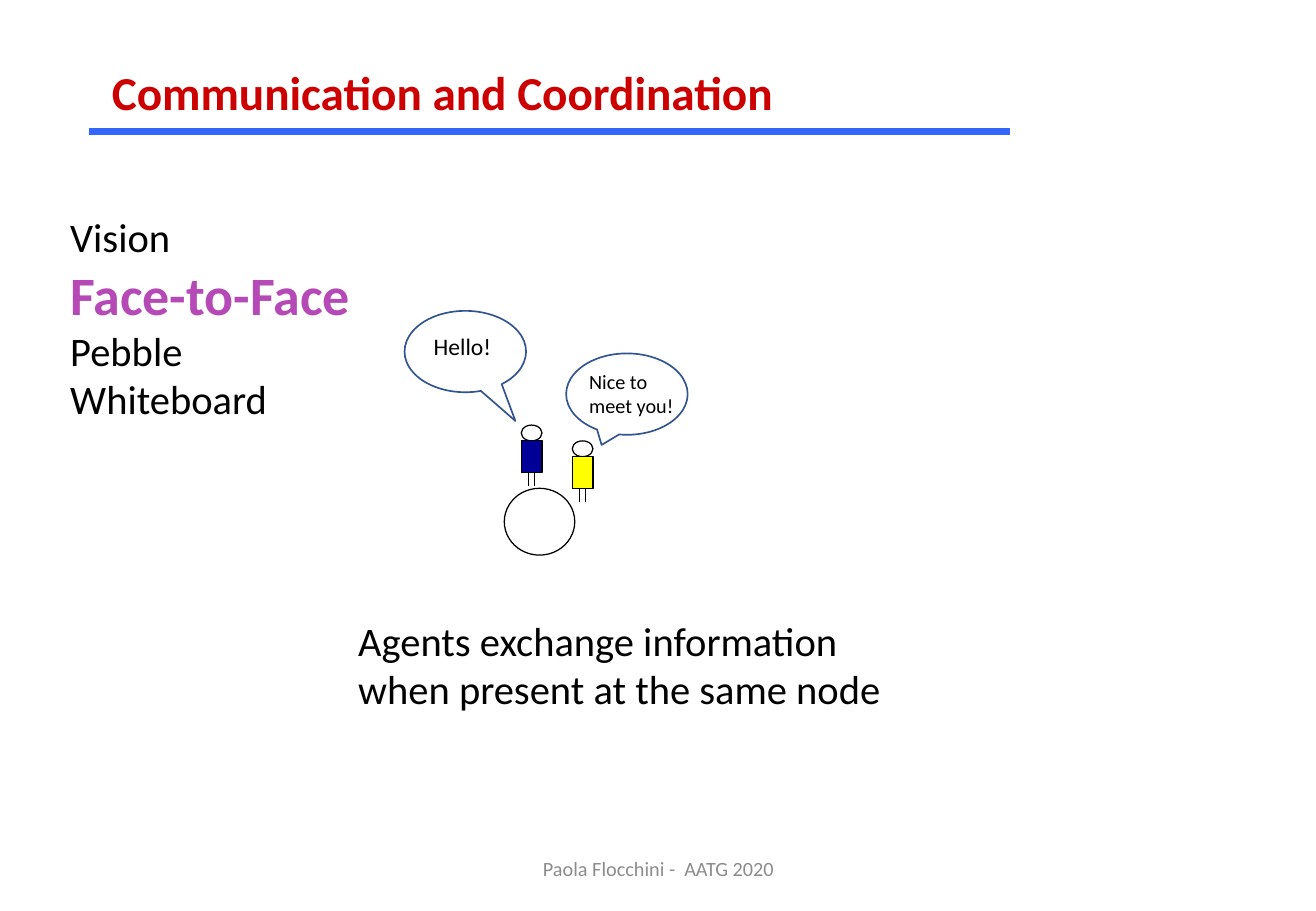
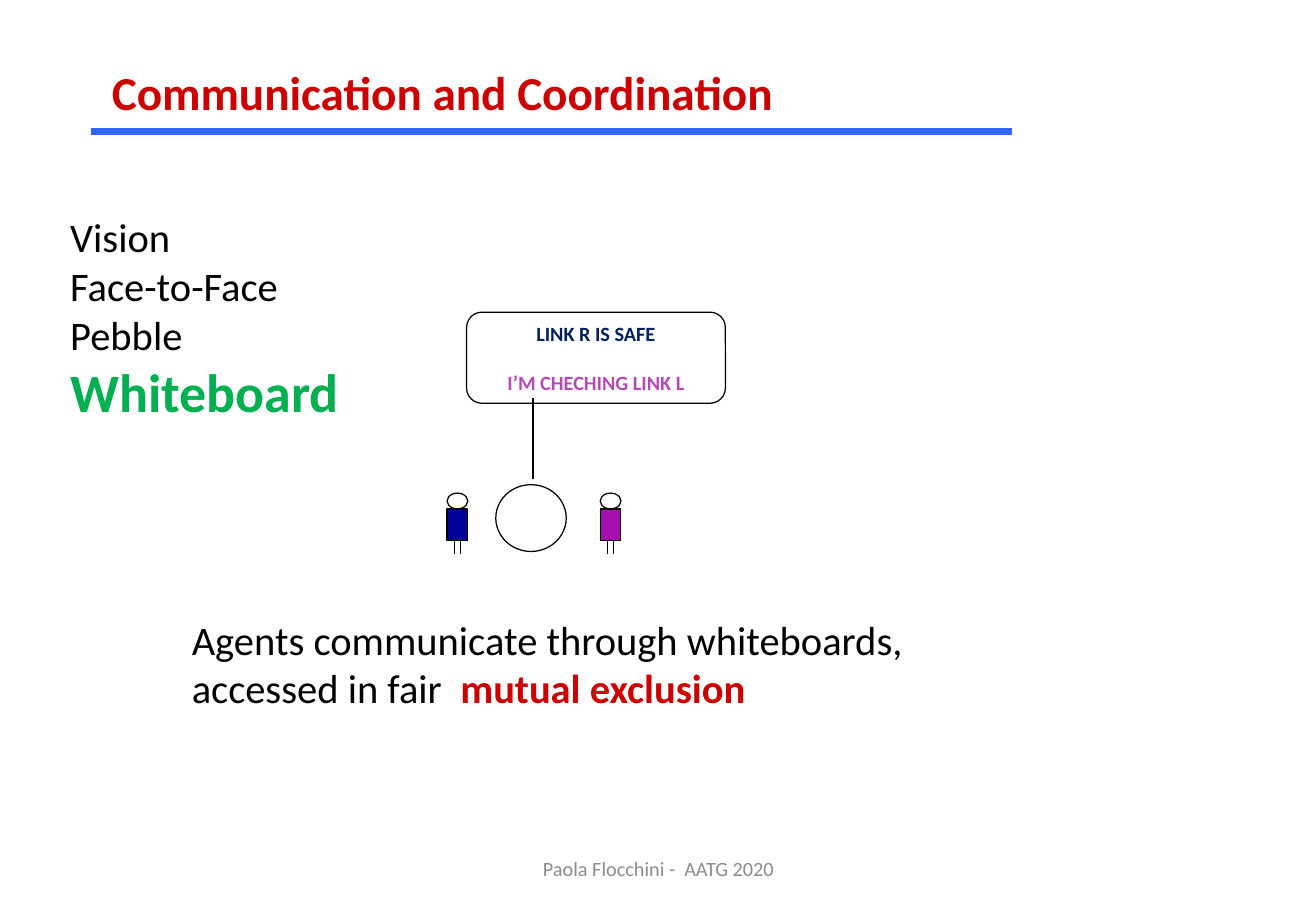
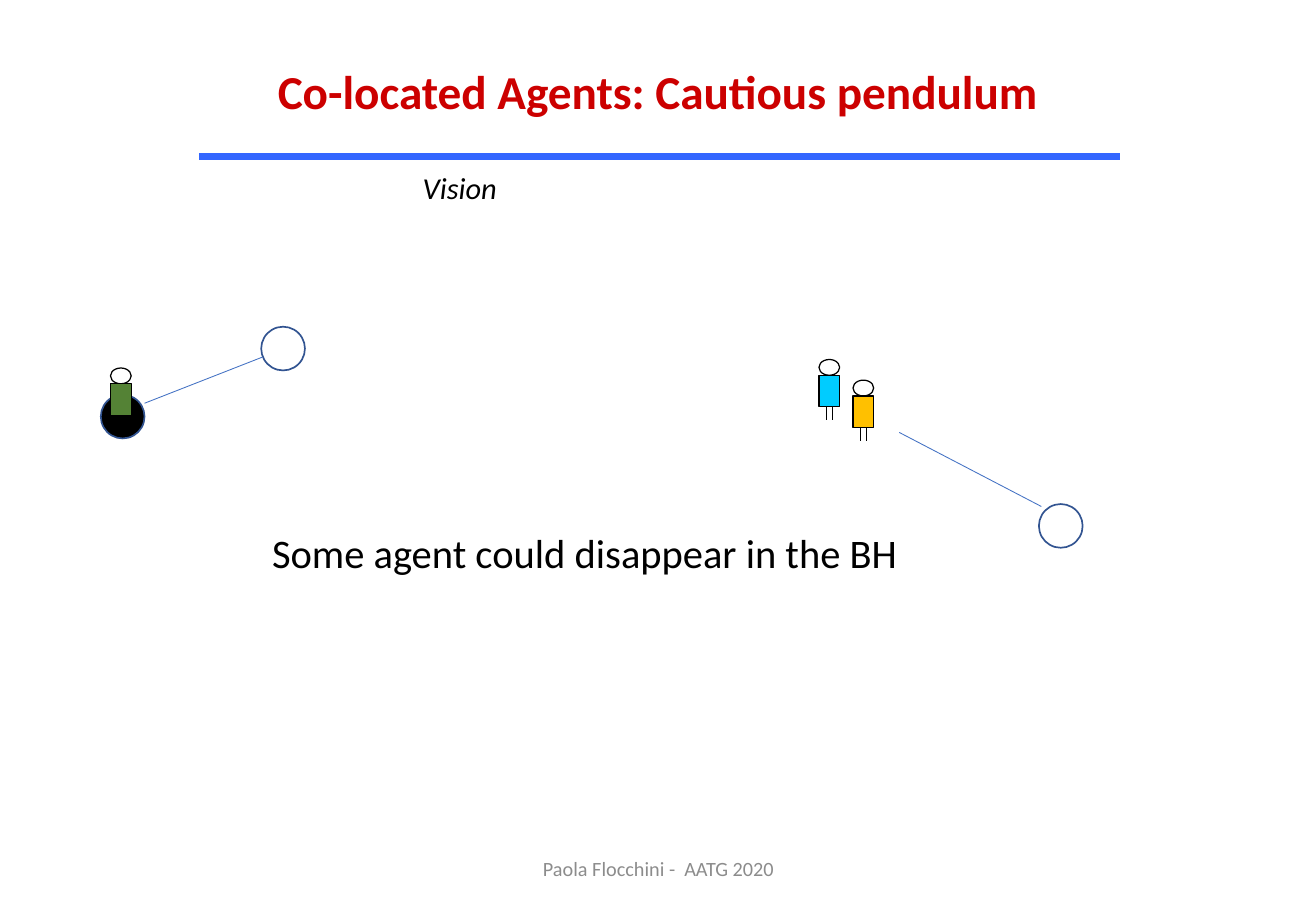
"""Build three slides on how mobile agents communicate and coordinate."""
from lxml.etree import SubElement
from pptx import Presentation
from pptx.dml.color import RGBColor
from pptx.enum.shapes import MSO_CONNECTOR, MSO_SHAPE as Preset
from pptx.enum.text import MSO_ANCHOR as Anchor, MSO_AUTO_SIZE, PP_ALIGN as Align
from pptx.oxml.ns import qn
from pptx.util import Inches, Pt

FONT = "Calibri"
COLORS = {
    "black": "000000", "white": "FFFFFF", "title": "CC0000", "rule": "3366FF",
    "footer": "8C8C8C", "outline": "325491", "link": "4472C4", "navy": "002060",
    "violet": "B549B6", "green": "00B050", "agent_blue": "000099",
    "agent_yellow": "FFFF00", "agent_purple": "A50FAE", "agent_green": "548235",
    "agent_cyan": "00CCFF", "agent_orange": "FFC000",
}
FOOTER = "Paola Flocchini -  AATG 2020"
COMMUNICATION = "Communication and Coordination"
COMMUNICATION_BOX = (0.82, 0.47, 5.79, 0.57)
METHODS = ["Vision", "Face-to-Face", "Pebble", "Whiteboard"]
RULE_LENGTH = 7.58
NODE_SIZE = (0.58, 0.55)
RING_NODE = 0.36

GREETINGS = [
    ((4.66, 2.91), None, (4.75, 2.99, 1, 0.5), ["Nice to", "meet you!"], 12),
    ((3.33, 2.56), (0.412, 0.852), (3.47, 2.68, 0.8, 0.34), ["Hello!"], 14),
]
FACE_AGENTS = [(4.29, 3.5, "agent_blue"), (4.71, 3.63, "agent_yellow")]
FACE_NOTE = ["Agents exchange information", "when present at the same node"]

BOARD_AGENTS = [(3.68, 4.06, "agent_blue"), (4.94, 4.06, "agent_purple")]
BOARD_LINES = [
    [("LINK R IS SAFE", {"color": "navy"})],
    [("I’M CHECHING LINK L", {"color": "violet"})],
]
BOARD_NOTE = [
    "Agents communicate through whiteboards,",
    [("accessed in fair  ", {}), ("mutual exclusion", {"color": "title", "bold": True})],
]

RING_NODES = [(2.15, 2.69, "white"), (0.83, 3.25, "black"), (8.55, 4.15, "white")]
RING_LINKS = [((7.4, 3.56), (8.57, 4.17)), ((1.19, 3.32), (2.16, 2.94))]
RING_AGENTS = [
    (0.91, 3.03, "agent_green"), (6.74, 2.96, "agent_cyan"), (7.02, 3.13, "agent_orange"),
]


def rgb(name):
    """Return the named colour."""
    return RGBColor.from_string(COLORS[name])


def write_text(frame, lines, size=24, color="black", bold=False, italic=False,
               align=Align.LEFT, anchor=Anchor.TOP, gap=0):
    """Fill a text frame; a line is a string or a list of (text, format) runs."""
    frame.word_wrap = True
    frame.auto_size = MSO_AUTO_SIZE.NONE
    frame.vertical_anchor = anchor
    for index, line in enumerate(lines):
        paragraph = frame.add_paragraph() if index else frame.paragraphs[0]
        paragraph.alignment = align
        if index and gap:
            paragraph.space_before = Pt(gap)
        for text, changes in [(line, {})] if isinstance(line, str) else line:
            look = {"size": size, "color": color, "bold": bold, "italic": italic, **changes}
            run = paragraph.add_run()
            run.text = text
            run.font.name = FONT
            run.font.size = Pt(look["size"])
            run.font.bold = look["bold"]
            run.font.italic = look["italic"]
            run.font.color.rgb = rgb(look["color"])


def add_text(slide, box, lines, **look):
    """Add a text box."""
    shape = slide.shapes.add_textbox(*map(Inches, box))
    write_text(shape.text_frame, lines, **look)


def add_preset(shapes, preset, box, fill=None, line="black", width=0.75):
    """Add a preset shape, hollow unless a fill is named."""
    shape = shapes.add_shape(preset, *map(Inches, box))
    shape.shadow.inherit = False
    if fill:
        shape.fill.solid()
        shape.fill.fore_color.rgb = rgb(fill)
    else:
        shape.fill.background()
    shape.line.color.rgb = rgb(line)
    shape.line.width = Pt(width)
    return shape


def add_line(shapes, start, end, color="black", width=0.75):
    """Add a straight line without a shadow."""
    line = shapes.add_connector(MSO_CONNECTOR.STRAIGHT, *map(Inches, (*start, *end)))
    line.line.color.rgb = rgb(color)
    line.line.width = Pt(width)
    SubElement(line._element.spPr, qn("a:effectLst"))


def add_agents(slide, agents):
    """Draw each agent as a group of head, body and two legs."""
    for left, top, color in agents:
        shapes = slide.shapes.add_group_shape().shapes
        add_preset(shapes, Preset.OVAL, (left, top, 0.17, 0.13), fill="white")
        add_preset(shapes, Preset.RECTANGLE, (left, top + 0.13, 0.17, 0.26), fill=color)
        for offset in (0.06, 0.11):
            leg = left + offset
            add_line(shapes, (leg, top + 0.39), (leg, top + 0.5))


def add_slide(presentation, title, title_box, rule_start, align=Align.LEFT):
    """Add a slide with its title, rule and footer."""
    slide = presentation.slides.add_slide(presentation.slide_layouts[5])
    shape = slide.shapes.title
    shape.left, shape.top, shape.width, shape.height = map(Inches, title_box)
    write_text(shape.text_frame, [title], size=28, color="title", bold=True, align=align)
    left, top = rule_start
    add_line(slide.shapes, rule_start, (left + RULE_LENGTH, top), color="rule", width=4)
    add_text(slide, (3.59, 6.95, 3.66, 0.4), [FOOTER], size=12, color="footer",
             align=Align.CENTER, anchor=Anchor.MIDDLE)
    return slide


def add_methods(slide, current, color):
    """List the methods with the current one enlarged."""
    strong = {"size": 32, "color": color, "bold": True}
    lines = [[(method, strong if method == current else {})] for method in METHODS]
    add_text(slide, (0.48, 1.7, 2.6, 1.85), lines)


def build_face_to_face(presentation):
    """Show two agents that talk at a node."""
    slide = add_slide(presentation, COMMUNICATION, COMMUNICATION_BOX, (0.73, 1.08))
    add_methods(slide, "Face-to-Face", "violet")
    add_preset(slide.shapes, Preset.OVAL, (4.15, 4.02, *NODE_SIZE))
    add_agents(slide, FACE_AGENTS)
    for corner, tail, box, words, size in GREETINGS:
        bubble = add_preset(slide.shapes, Preset.OVAL_CALLOUT, (*corner, 1, 0.67),
                            line="outline", width=1)
        if tail:
            bubble.adjustments[0], bubble.adjustments[1] = tail
        add_text(slide, box, words, size=size)
    add_text(slide, (2.85, 5.02, 4.6, 0.91), FACE_NOTE)


def build_whiteboard(presentation):
    """Show two agents that share a whiteboard."""
    slide = add_slide(presentation, COMMUNICATION, COMMUNICATION_BOX, (0.75, 1.08))
    add_methods(slide, "Whiteboard", "green")
    add_preset(slide.shapes, Preset.OVAL, (4.08, 3.99, *NODE_SIZE))
    board = add_preset(slide.shapes, Preset.ROUNDED_RECTANGLE, (3.84, 2.57, 2.13, 0.75),
                       fill="white")
    board.adjustments[0] = 0.167
    write_text(board.text_frame, BOARD_LINES, size=12, bold=True, align=Align.CENTER,
               anchor=Anchor.MIDDLE, gap=14.6)
    add_line(slide.shapes, (4.39, 3.28), (4.39, 3.94), width=1.25)
    add_agents(slide, BOARD_AGENTS)
    add_text(slide, (1.48, 5.01, 6.18, 0.91), BOARD_NOTE)


def build_pendulum(presentation):
    """Show agents that explore a ring with a black hole."""
    slide = add_slide(presentation, "Co-located Agents: Cautious pendulum",
                      (2.14, 0.46, 6.54, 0.57), (1.64, 1.29), align=Align.CENTER)
    add_text(slide, (3.38, 1.34, 5.42, 0.4), ["Vision"], size=18, italic=True)
    for left, top, fill in RING_NODES:
        add_preset(slide.shapes, Preset.OVAL, (left, top, RING_NODE, RING_NODE),
                   fill=fill, line="outline", width=1)
    for start, end in RING_LINKS:
        add_line(slide.shapes, start, end, color="link", width=0.5)
    add_agents(slide, RING_AGENTS)
    add_text(slide, (2.14, 4.3, 5.85, 0.5), ["Some agent could disappear in the BH"])


def main():
    """Build and save the presentation."""
    presentation = Presentation()
    presentation.slide_width, presentation.slide_height = Inches(10.83), Inches(7.5)
    for build in (build_face_to_face, build_whiteboard, build_pendulum):
        build(presentation)
    presentation.save("out.pptx")


if __name__ == "__main__":
    main()
